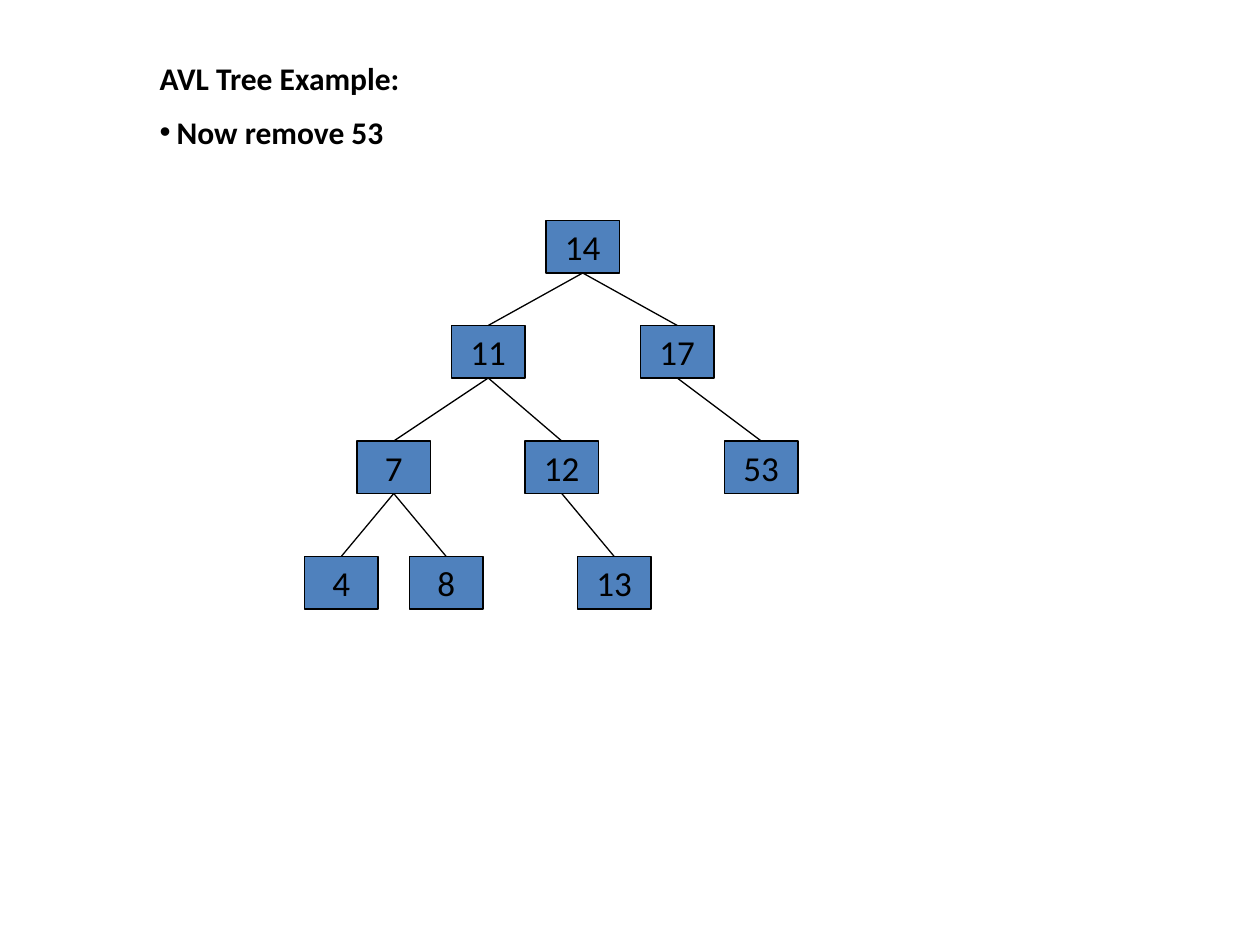
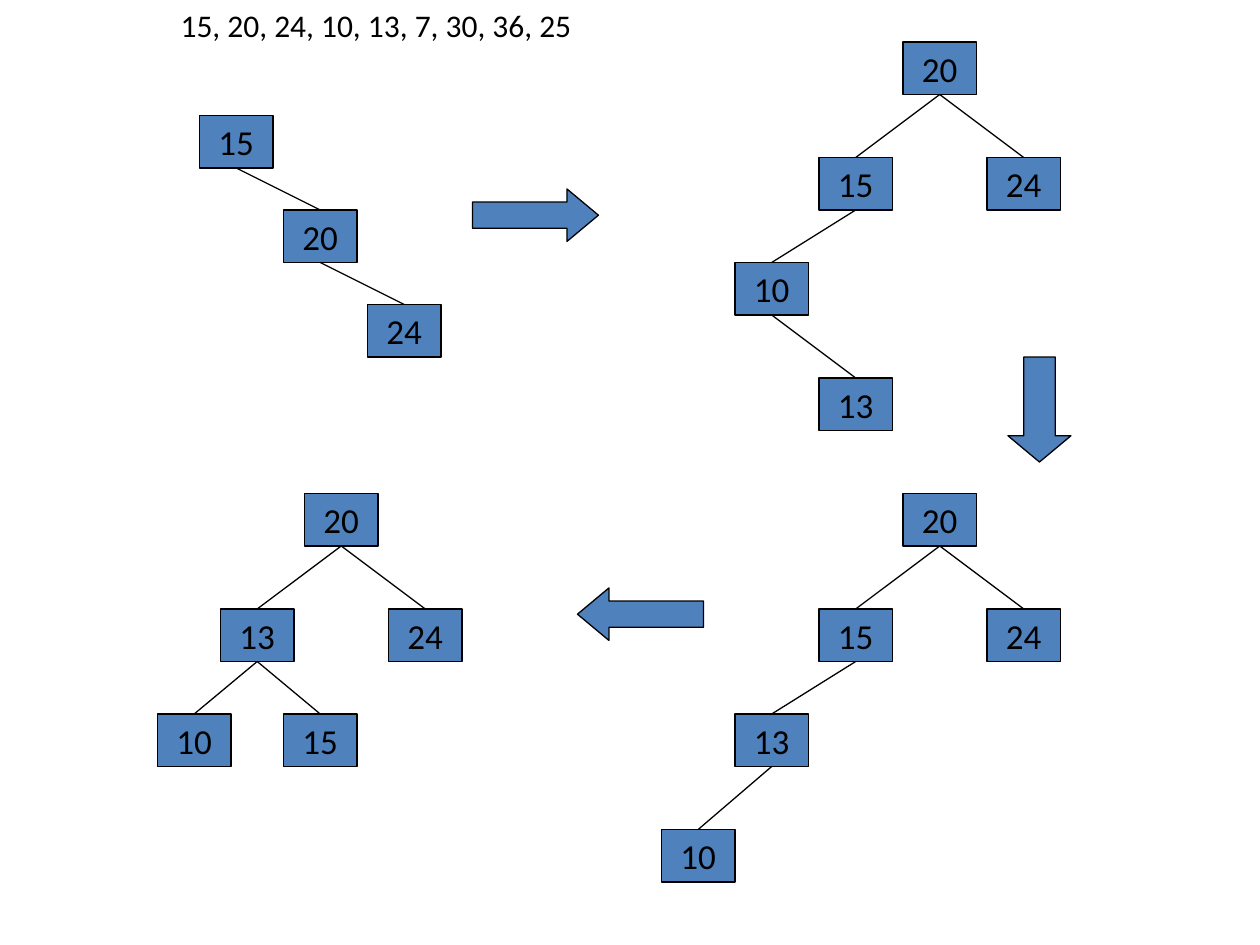
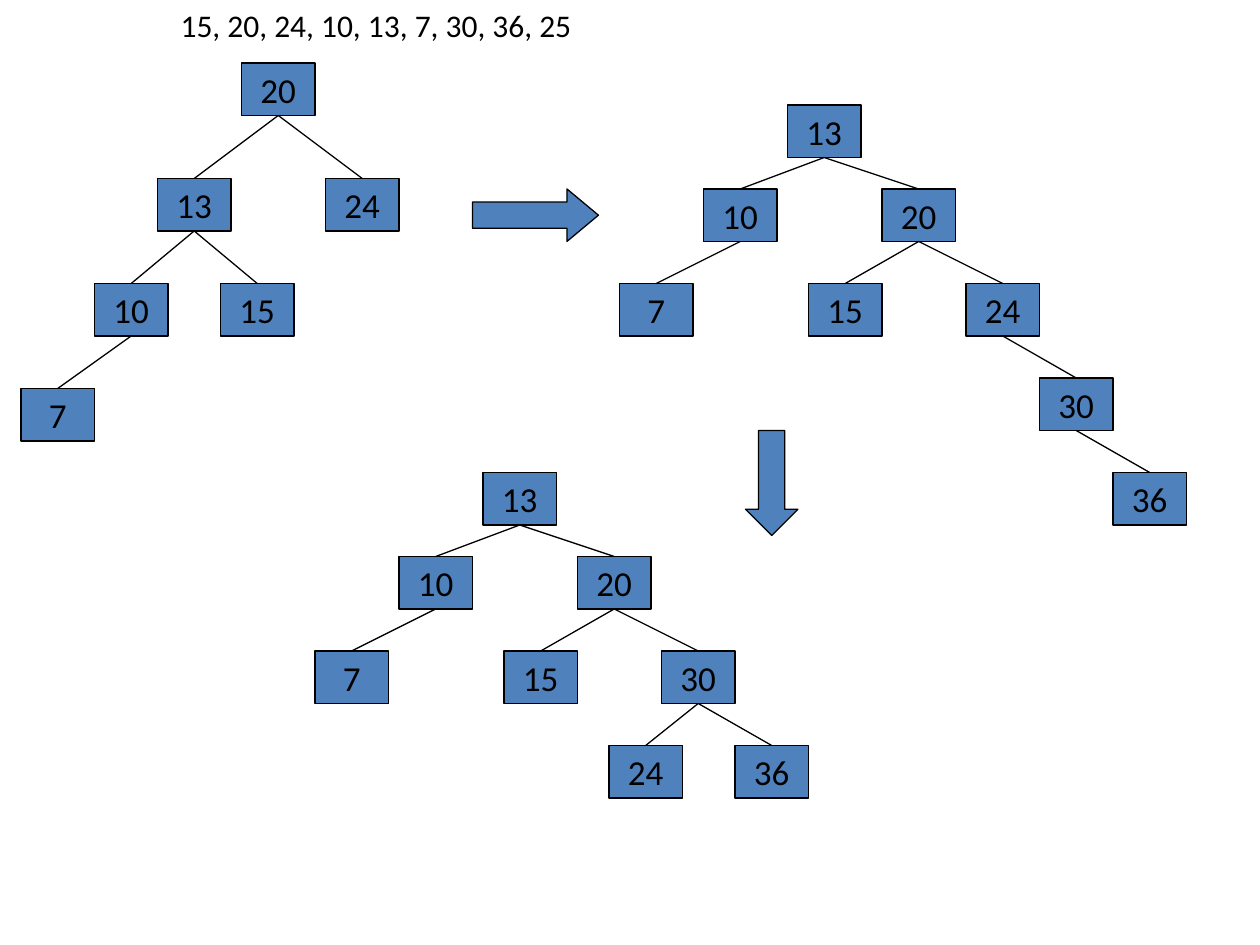
"""Build three slides of AVL tree examples."""
from lxml import etree
from pptx import Presentation
from pptx import util as u
from pptx.dml.color import RGBColor
from pptx.enum import shapes, text
from pptx.oxml.ns import qn

PX = 9525
BLACK = RGBColor(0x00, 0x00, 0x00)
BLUE = RGBColor(0x4F, 0x81, 0xBD)
FONT = "Calibri"
NODE_WIDTH, NODE_HEIGHT = 56, 40
LINE_WIDTH = u.Pt(0.75)
TITLE_CONTENT, TITLE_ONLY = 1, 5
SEQUENCE = "15, 20, 24, 10, 13, 7, 30, 36, 25"

# Each node is (value, parent, x step from parent, y step from parent).
REMOVAL_TREE = [
    (14, None, 0, 0), (11, 14, -72, 80), (17, 14, 72, 80),
    (7, 11, -72, 88), (12, 11, 56, 88), (53, 17, 64, 88),
    (4, 7, -40, 88), (8, 7, 40, 88), (13, 12, 40, 88),
]
RIGHT_CHAIN = [(15, None, 0, 0), (20, 15, 64, 72), (24, 20, 64, 72)]
ROOT_20_15 = [(20, None, 0, 0), (15, 20, -64, 88), (24, 20, 64, 88)]
ZIGZAG_TREE = ROOT_20_15 + [(10, 15, -64, 80), (13, 10, 64, 88)]
LEFT_CHAIN_TREE = ROOT_20_15 + [(13, 15, -64, 80), (10, 13, -56, 88)]
ROOT_20_13 = [
    (20, None, 0, 0), (13, 20, -64, 88), (24, 20, 64, 88),
    (10, 13, -48, 80), (15, 13, 48, 80),
]
INSERT_7_TREE = ROOT_20_13 + [(7, 10, -56, 80)]
ROOT_13 = [
    (13, None, 0, 0), (10, 13, -64, 64), (20, 13, 72, 64),
    (7, 10, -64, 72), (15, 20, -56, 72),
]
INSERT_36_TREE = ROOT_13 + [(24, 20, 64, 72), (30, 24, 56, 72), (36, 30, 56, 72)]
BALANCED_TREE = ROOT_13 + [(30, 20, 64, 72), (24, 30, -40, 72), (36, 30, 56, 72)]


def px(*lengths):
    """Turn pixel lengths into EMU."""
    return [u.Emu(length * PX) for length in lengths]


def format_font(font, size, bold=False):
    """Apply the shared font and colour."""
    font.name = FONT
    font.size = u.Pt(size)
    font.bold = bold
    font.color.rgb = BLACK


def add_slide(presentation, layout):
    """Add a slide with the given layout number."""
    return presentation.slides.add_slide(presentation.slide_layouts[layout])


def fill_placeholder(shape, content, box, bold=False, bullet_indent=0):
    """Move a placeholder and write one left-aligned paragraph in it."""
    shape.left, shape.top, shape.width, shape.height = px(*box)
    frame = shape.text_frame
    frame.text = content
    frame.auto_size = text.MSO_AUTO_SIZE.NONE
    frame.vertical_anchor = text.MSO_ANCHOR.TOP
    paragraph = frame.paragraphs[0]
    paragraph.alignment = text.PP_ALIGN.LEFT
    paragraph.space_before = u.Pt(0)
    if bullet_indent:
        properties = paragraph._p.get_or_add_pPr()
        properties.set("marL", str(bullet_indent * PX))
        properties.set("indent", str(-bullet_indent * PX))
        etree.SubElement(properties, qn("a:buChar"), char="•")
    for run in paragraph.runs:
        format_font(run.font, 18, bold)


def add_box(slide, kind, box):
    """Add a blue preset shape with a thin black outline."""
    shape = slide.shapes.add_shape(kind, *px(*box))
    shape.shadow.inherit = False
    shape.fill.solid()
    shape.fill.fore_color.rgb = BLUE
    shape.line.color.rgb = BLACK
    shape.line.width = LINE_WIDTH
    return shape


def add_node(slide, value, left, top):
    """Add one tree node."""
    box = (left, top, NODE_WIDTH, NODE_HEIGHT)
    shape = add_box(slide, shapes.MSO_SHAPE.RECTANGLE, box)
    frame = shape.text_frame
    frame.text = str(value)
    frame.word_wrap = False
    frame.vertical_anchor = text.MSO_ANCHOR.MIDDLE
    paragraph = frame.paragraphs[0]
    paragraph.alignment = text.PP_ALIGN.CENTER
    format_font(paragraph.runs[0].font, 20)
    return shape


def add_edge(slide, parent, child):
    """Join the bottom of a parent to the top of its child."""
    connector = slide.shapes.add_connector(shapes.MSO_CONNECTOR.STRAIGHT, 0, 0, 0, 0)
    connector.begin_connect(parent, 2)
    connector.end_connect(child, 0)
    connector.line.color.rgb = BLACK
    connector.line.width = LINE_WIDTH
    etree.SubElement(connector._element.spPr, qn("a:effectLst"))


def add_tree(slide, tree, left, top):
    """Draw a tree whose root has the given corner."""
    corners, nodes = {None: (left, top)}, {}
    for value, parent, step_x, step_y in tree:
        parent_left, parent_top = corners[parent]
        corners[value] = (parent_left + step_x, parent_top + step_y)
        nodes[value] = add_node(slide, value, *corners[value])
        if parent is not None:
            add_edge(slide, nodes[parent], nodes[value])


def add_arrow(slide, kind, left, top, width, height):
    """Add a block arrow whose head takes a quarter of its length."""
    arrow = add_box(slide, kind, (left, top, width, height))
    arrow.adjustments[0] = 0.5
    arrow.adjustments[1] = max(width, height) / 4 / min(width, height)


def add_sequence_slide(presentation):
    """Add a slide headed by the inserted numbers."""
    slide = add_slide(presentation, TITLE_ONLY)
    fill_placeholder(slide.shapes.title, SEQUENCE, (128, 0, 736, 38))
    return slide


def build_removal(presentation):
    """Show the tree before a removal."""
    slide = add_slide(presentation, TITLE_CONTENT)
    fill_placeholder(slide.shapes.title, "AVL Tree Example:", (112, 40, 752, 40), bold=True)
    fill_placeholder(slide.placeholders[1], "Now remove 53", (112, 81, 752, 40),
                     bold=True, bullet_indent=13)
    add_tree(slide, REMOVAL_TREE, 416, 168)


def build_first_insertions(presentation):
    """Show the insertions up to 13."""
    slide = add_sequence_slide(presentation)
    add_tree(slide, RIGHT_CHAIN, 152, 88)
    add_tree(slide, ZIGZAG_TREE, 688, 32)
    add_tree(slide, LEFT_CHAIN_TREE, 688, 376)
    add_tree(slide, ROOT_20_13, 232, 376)
    add_arrow(slide, shapes.MSO_SHAPE.RIGHT_ARROW, 360, 144, 96, 40)
    add_arrow(slide, shapes.MSO_SHAPE.DOWN_ARROW, 768, 272, 48, 80)
    add_arrow(slide, shapes.MSO_SHAPE.LEFT_ARROW, 440, 448, 96, 40)


def build_later_insertions(presentation):
    """Show the insertions from 7 to 36."""
    slide = add_sequence_slide(presentation)
    add_tree(slide, INSERT_7_TREE, 184, 48)
    add_tree(slide, INSERT_36_TREE, 600, 80)
    add_tree(slide, BALANCED_TREE, 368, 360)
    add_arrow(slide, shapes.MSO_SHAPE.RIGHT_ARROW, 360, 144, 96, 40)
    add_arrow(slide, shapes.MSO_SHAPE.DOWN_ARROW, 568, 328, 40, 80)


def main():
    """Build and save the presentation."""
    presentation = Presentation()
    presentation.slide_width, presentation.slide_height = px(960, 720)
    build_removal(presentation)
    build_first_insertions(presentation)
    build_later_insertions(presentation)
    presentation.save("out.pptx")


if __name__ == "__main__":
    main()
